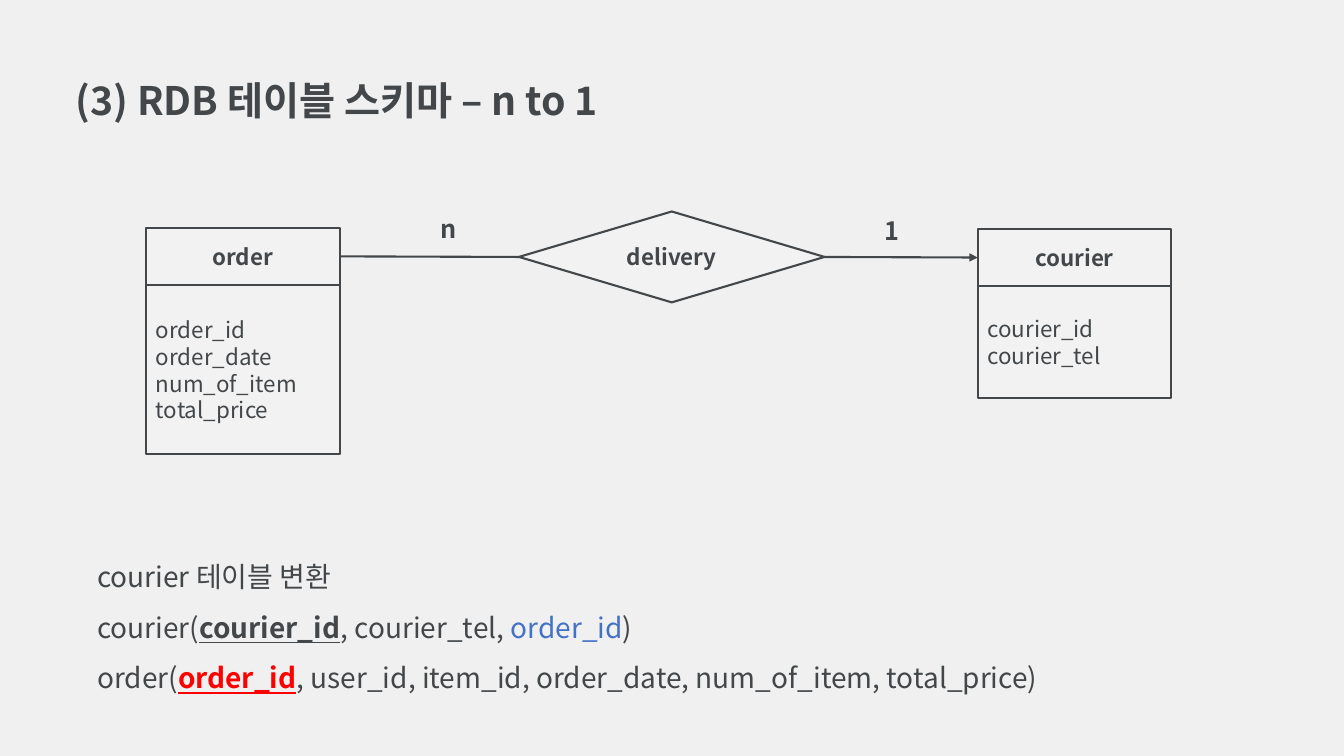
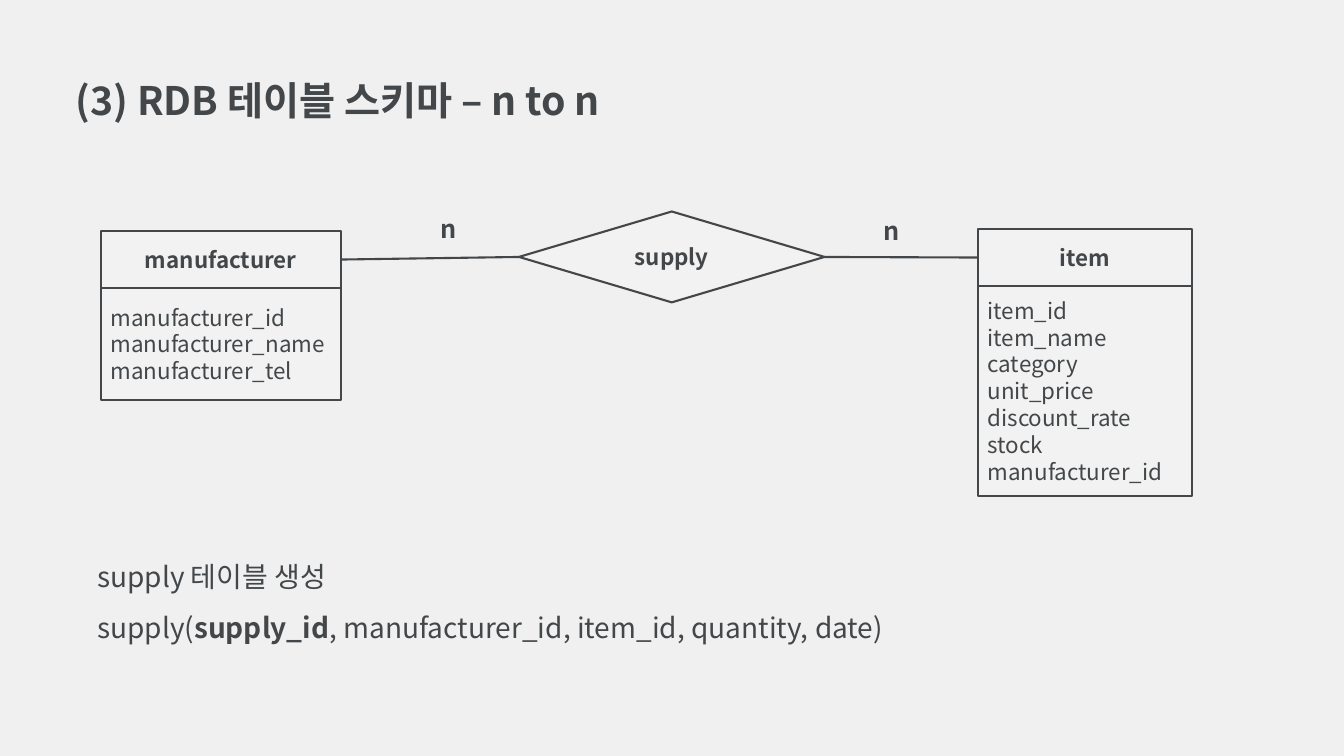
from lxml.etree import SubElement
from pptx import Presentation
from pptx.dml.color import RGBColor
from pptx.enum.shapes import MSO_CONNECTOR, MSO_SHAPE
from pptx.enum.text import MSO_ANCHOR, MSO_AUTO_SIZE, PP_ALIGN
from pptx.oxml.ns import qn
from pptx.util import Cm, Pt

FONT = "Noto Sans CJK KR"
COLORS = {"back": "F0F0F0", "box": "F2F2F2", "ink": "43474A",
          "blue": "4472C4", "red": "FF0000"}
LEFT_SIDE, RIGHT_SIDE = 1, 3  # connection sites of rectangles and diamonds
HEAD_H = 1.44

# Entities: name, left, top, width, height of the attribute box, attributes
# Notes: one list of (text, bold, underline, colour) runs per line
SLIDES = [
    {
        "title": "(3) RDB 테이블 스키마 – n to 1",
        "relation": "delivery",
        "labels": ("n", "1"),
        "arrow": True,
        "entities": [
            ("order", 3.68, 5.74, 4.88, 4.27,
             ["order_id", "order_date", "num_of_item", "total_price"]),
            ("courier", 24.64, 5.77, 4.88, 2.82, ["courier_id", "courier_tel"]),
        ],
        "notes": [
            [("courier 테이블 변환", False, False, "ink")],
            [("courier(", False, False, "ink"),
             ("courier_id", True, True, "ink"),
             (", courier_tel, ", False, False, "ink"),
             ("order_id", False, False, "blue"),
             (")", False, False, "ink")],
            [("order(", False, False, "ink"),
             ("order_id", True, True, "red"),
             (", user_id, item_id, order_date, num_of_item, total_price)",
              False, False, "ink")],
        ],
    },
    {
        "title": "(3) RDB 테이블 스키마 – n to n",
        "relation": "supply",
        "labels": ("n", "n"),
        "arrow": False,
        "entities": [
            ("manufacturer", 2.54, 5.82, 6.05, 2.82,
             ["manufacturer_id", "manufacturer_name", "manufacturer_tel"]),
            ("item", 24.64, 5.77, 5.41, 5.28,
             ["item_id", "item_name", "category", "unit_price",
              "discount_rate", "stock", "manufacturer_id"]),
        ],
        "notes": [
            [("supply 테이블 생성", False, False, "ink")],
            [("supply(", False, False, "ink"),
             ("supply_id", True, False, "ink"),
             (", manufacturer_id, item_id, quantity, date)",
              False, False, "ink")],
        ],
    },
]


def add_run(p, text, size, bold=False, underline=False, color="ink"):
    r = p.add_run()
    r.text = text
    f = r.font
    f.name, f.size, f.bold, f.underline = FONT, Pt(size), bold, underline
    f.color.rgb = RGBColor.from_string(COLORS[color])
    SubElement(r._r.get_or_add_rPr(), qn("a:ea")).set("typeface", FONT)


def add_box(shapes, kind, at, lines, bold, align):
    """Add an outlined shape at (left, top, width, height) in cm, one paragraph a line."""
    sp = shapes.add_shape(kind, *[Cm(v) for v in at])
    sp.shadow.inherit = False
    sp.fill.solid()
    sp.fill.fore_color.rgb = RGBColor.from_string(COLORS["box"])
    sp.line.color.rgb = RGBColor.from_string(COLORS["ink"])
    sp.line.width = Pt(1.5)
    tf = sp.text_frame
    tf.vertical_anchor = MSO_ANCHOR.MIDDLE
    for i, line in enumerate(lines):
        p = tf.add_paragraph() if i else tf.paragraphs[0]
        p.alignment = align
        add_run(p, line, 16, bold)
    return sp


prs = Presentation()
prs.slide_width, prs.slide_height = Cm(33.87), Cm(19.05)
fill = prs.slide_master.background.fill
fill.solid()
fill.fore_color.rgb = RGBColor.from_string(COLORS["back"])

for data in SLIDES:
    s = prs.slides.add_slide(prs.slide_layouts[5])

    title = s.shapes.title
    title.left, title.top = Cm(1.65), Cm(1.8)
    title.width, title.height = Cm(13.82), Cm(1.45)
    tf = title.text_frame
    tf.word_wrap = True
    tf.auto_size = MSO_AUTO_SIZE.SHAPE_TO_FIT_TEXT
    tf.vertical_anchor = MSO_ANCHOR.TOP
    tf.paragraphs[0].alignment = PP_ALIGN.LEFT
    add_run(tf.paragraphs[0], data["title"], 28, True)

    notes = data["notes"]
    tf = s.shapes.add_textbox(Cm(2.2), Cm(13.56), Cm(25),
                              Cm(1.32 * len(notes))).text_frame
    tf.word_wrap = True
    for i, runs in enumerate(notes):
        p = tf.add_paragraph() if i else tf.paragraphs[0]
        p.line_spacing = 1.5
        for text, bold, underline, color in runs:
            add_run(p, text, 20, bold, underline, color)

    diamond = add_box(s.shapes, MSO_SHAPE.DIAMOND, (13.08, 5.33, 7.7, 2.29),
                      [data["relation"]], True, PP_ALIGN.CENTER)

    heads = []
    for name, left, top, width, height, attributes in data["entities"]:
        shapes = s.shapes.add_group_shape().shapes
        heads.append(add_box(shapes, MSO_SHAPE.RECTANGLE, (left, top, width, HEAD_H),
                             [name], True, PP_ALIGN.CENTER))
        add_box(shapes, MSO_SHAPE.RECTANGLE, (left, top + HEAD_H, width, height),
                attributes, False, PP_ALIGN.JUSTIFY)

    for head, start, end in zip(heads, (LEFT_SIDE, RIGHT_SIDE), (RIGHT_SIDE, LEFT_SIDE)):
        line = s.shapes.add_connector(MSO_CONNECTOR.STRAIGHT, 0, 0, 0, 0)
        line.begin_connect(diamond, start)
        line.end_connect(head, end)
        line.line.color.rgb = RGBColor.from_string(COLORS["ink"])
        line.line.width = Pt(1.5)
        if data["arrow"] and head is heads[-1]:
            SubElement(line.line._get_or_add_ln(), qn("a:tailEnd")).set("type", "triangle")
        SubElement(line._element.spPr, qn("a:effectLst"))

    for label, left, top in zip(data["labels"], (10.85, 22.02), (5.26, 5.31)):
        tf = s.shapes.add_textbox(Cm(left), Cm(top), Cm(0.91), Cm(1.02)).text_frame
        tf.word_wrap = True
        tf.paragraphs[0].alignment = PP_ALIGN.CENTER
        add_run(tf.paragraphs[0], label, 18, True)

prs.save("out.pptx")
